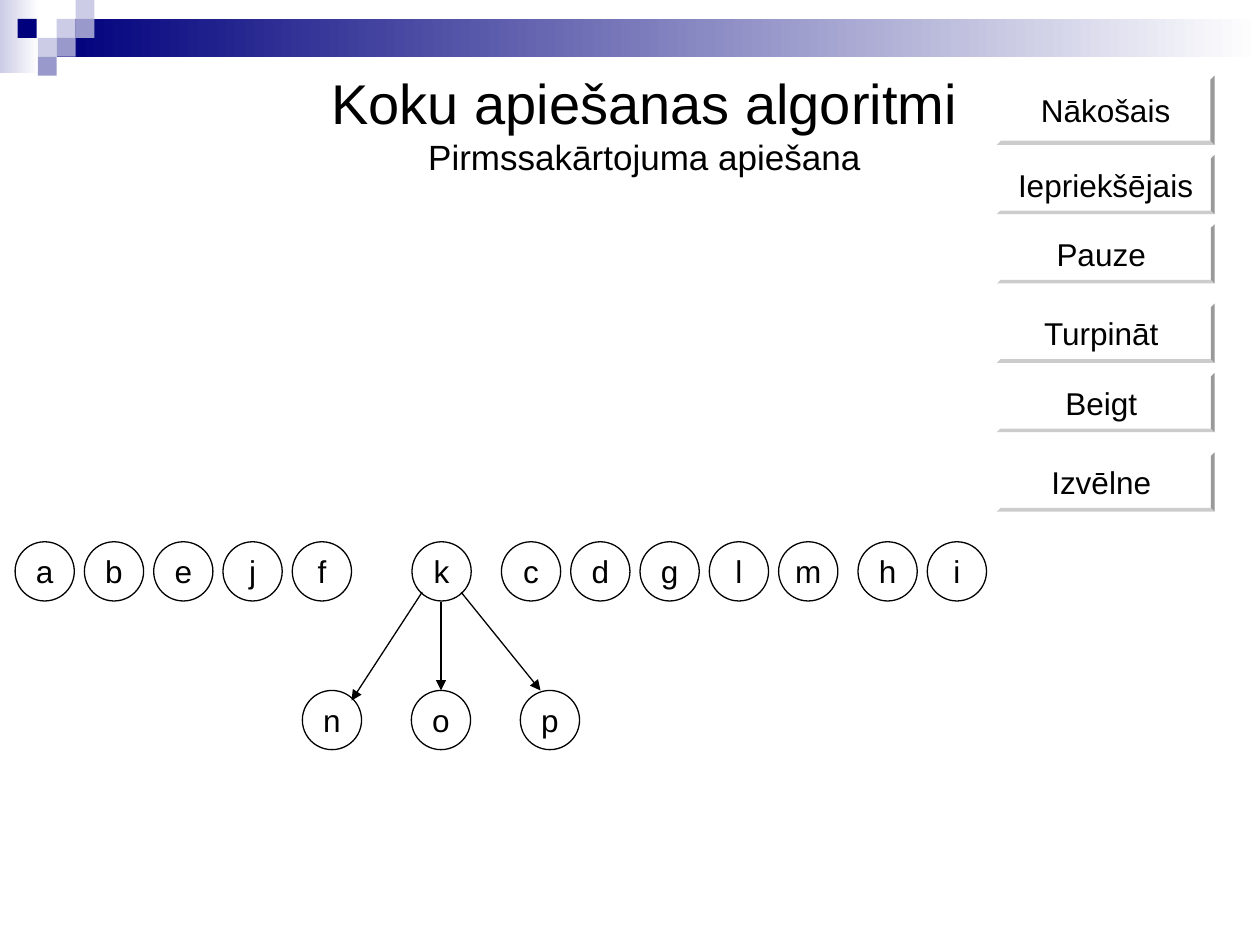
import pptx
import pptx.util
import pptx.dml.color
import pptx.enum.shapes
import pptx.enum.text
import pptx.oxml
import pptx.oxml.ns

Inches = pptx.util.Inches
SHAPES = pptx.enum.shapes.MSO_SHAPE
ANCHOR = pptx.enum.text.MSO_ANCHOR

# Content
COLORS = {"white": "FFFFFF", "black": "000000", "navy": "00007D",
          "lavender": "CCCCE6", "violet": "9999CC"}
TITLE = [("Koku apiešanas algoritmi ", 32), ("Pirmssakārtojuma apiešana", 20)]
BUTTONS = [("Nākošais", 0.6, 0.55), ("Iepriekšējais", 1.23, 0.47),
           ("Pauze ", 1.78, 0.47), ("Turpināt ", 2.41, 0.47),
           ("Beigt ", 2.96, 0.47), ("Izvēlne ", 3.59, 0.47)]
# Node groups: letters, left of the first, top, step
NODE_GROUPS = [("abejf", 0.12, 4.3, 0.55), ("k", 3.27, 4.3, 0.55),
               ("cdglm", 3.98, 4.3, 0.55), ("hi", 6.81, 4.3, 0.55),
               ("nop", 2.4, 5.48, 0.865)]
ARROWS = [((3.35, 4.7), (2.79, 5.56)), ((3.5, 4.78), (3.5, 5.48)),
          ((3.66, 4.7), (4.29, 5.48))]
# Header: left, top, width, height, fill from, fill to
HEADER = [(0, 0, 0.31, 0.58, "lavender", "white"),
          (0.45, 0.15, 9.55, 0.3, "navy", "white")]
SQUARES = [(0.45, 0.15, "lavender"), (0.6, 0, "lavender"),
           (0.6, 0.15, "violet"), (0.3, 0.3, "lavender"),
           (0.14, 0.15, "navy"), (0.45, 0.3, "violet"),
           (0.3, 0.45, "violet")]
SQUARE = 0.15
NODE = 0.47
BUTTON_LEFT, BUTTON_WIDTH = 7.91, 1.73

presentation = pptx.Presentation()
presentation.slide_width = Inches(10)
presentation.slide_height = Inches(7.5)
slide = presentation.slides.add_slide(presentation.slide_layouts[6])


def color(name):
    return pptx.dml.color.RGBColor.from_string(COLORS[name])


def add_shape(kind, left, top, width, height, fill="white", fade=None, line=None):
    shape = slide.shapes.add_shape(kind, Inches(left), Inches(top),
                                   Inches(width), Inches(height))
    shape.shadow.inherit = False
    if fade:
        shape.fill.gradient()
        shape.fill.gradient_angle = 0
        for stop, name in zip(shape.fill.gradient_stops, (fill, fade)):
            stop.color.rgb = color(name)
    else:
        shape.fill.solid()
        shape.fill.fore_color.rgb = color(fill)
    if line:
        shape.line.color.rgb = color(line)
        shape.line.width = pptx.util.Pt(0.75)
    else:
        shape.line.fill.background()
    return shape


def write(shape, runs, wrap=False, anchor=ANCHOR.MIDDLE, top_margin=0.05):
    frame = shape.text_frame
    frame.word_wrap = wrap
    frame.vertical_anchor = anchor
    frame.margin_top = Inches(top_margin)
    paragraph = frame.paragraphs[0]
    paragraph.alignment = pptx.enum.text.PP_ALIGN.CENTER
    for text, size in runs:
        run = paragraph.add_run()
        run.text = text
        run.font.name = "Arial"
        run.font.size = pptx.util.Pt(size)
        run.font.color.rgb = color("black")


# Header band and squares
for left, top, width, height, fill, fade in HEADER:
    add_shape(SHAPES.RECTANGLE, left, top, width, height, fill, fade)
for left, top, fill in SQUARES:
    add_shape(SHAPES.RECTANGLE, left, top, SQUARE, SQUARE, fill)

# Title
title = slide.shapes.add_textbox(Inches(1.77), Inches(0.44), Inches(6.69), Inches(0.97))
write(title, TITLE, wrap=True, anchor=ANCHOR.TOP, top_margin=0.1)

# Navigation buttons
for label, top, height in BUTTONS:
    button = add_shape(SHAPES.BEVEL, BUTTON_LEFT, top, BUTTON_WIDTH, height)
    button.adjustments[0] = 0.06
    write(button, [(label, 18)])

# Tree nodes
for letters, first_left, top, step in NODE_GROUPS:
    for index, letter in enumerate(letters):
        node = add_shape(SHAPES.OVAL, first_left + index * step, top,
                         NODE, NODE, line="black")
        write(node, [(letter, 18)])

# Arrows from the parent to its children
for start, end in ARROWS:
    arrow = slide.shapes.add_connector(
        pptx.enum.shapes.MSO_CONNECTOR.STRAIGHT,
        *(Inches(value) for value in start + end))
    arrow.line.color.rgb = color("black")
    arrow.line.width = pptx.util.Pt(0.75)
    head = pptx.oxml.parse_xml(
        f'<a:tailEnd {pptx.oxml.ns.nsdecls("a")} type="triangle"/>')
    arrow.line._get_or_add_ln().append(head)
    arrow._element.spPr.append(pptx.oxml.parse_xml(
        f'<a:effectLst {pptx.oxml.ns.nsdecls("a")}/>'))

presentation.save("out.pptx")
